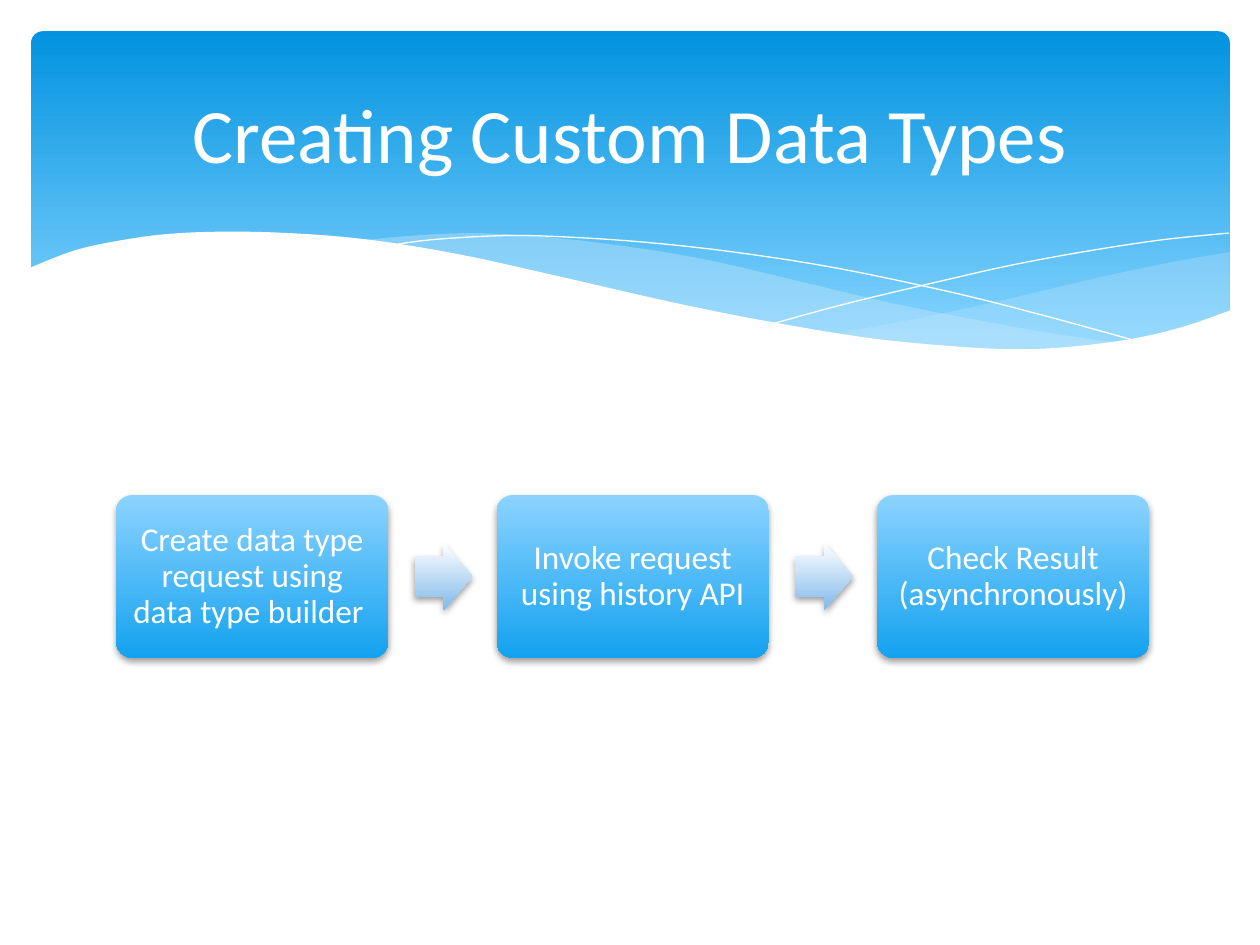
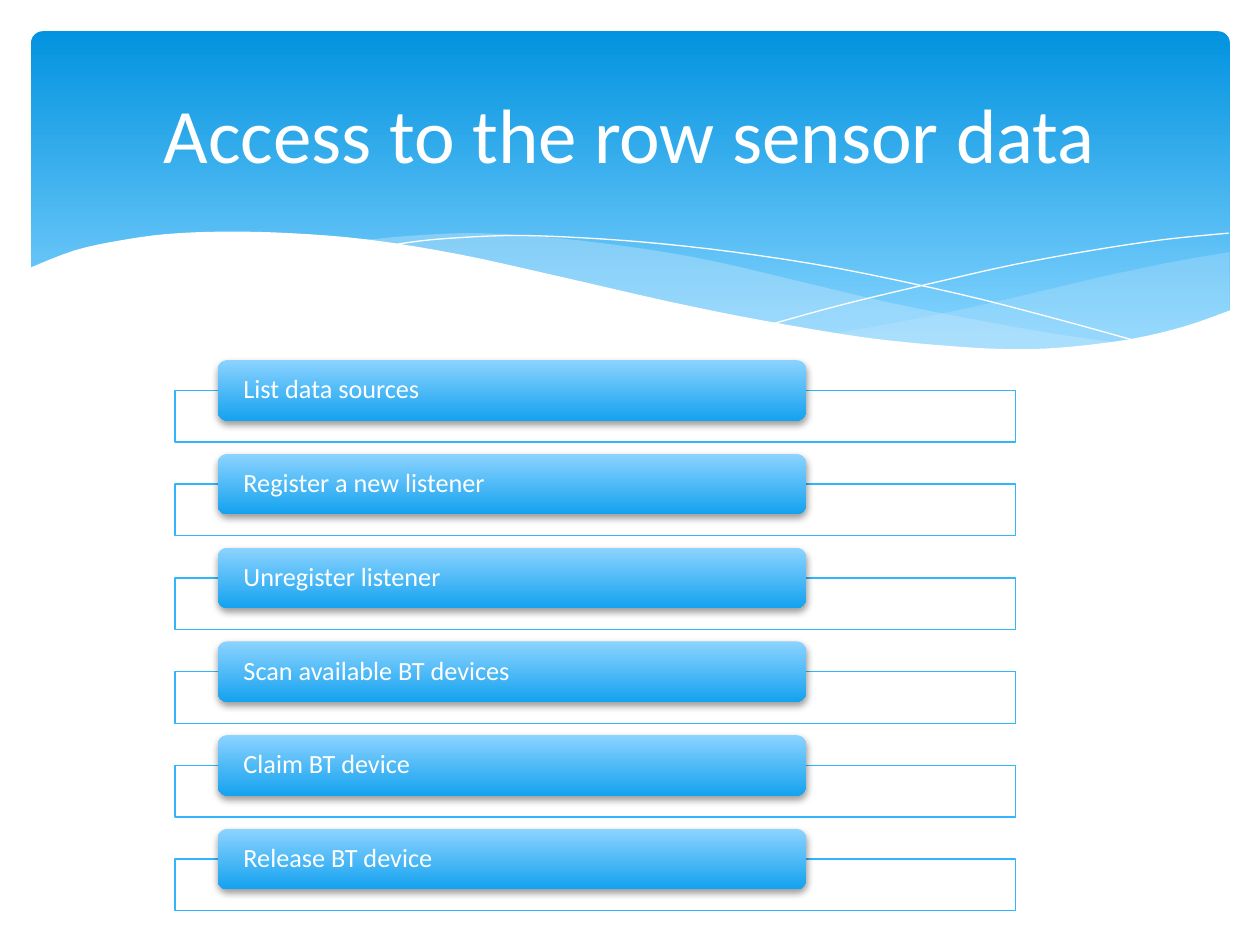
import pptx
import pptx.dml.color
import pptx.enum.shapes
import pptx.enum.text
import pptx.oxml
import pptx.oxml.ns
import pptx.util

Cm, Pt = pptx.util.Cm, pptx.util.Pt
RGB = pptx.dml.color.RGBColor.from_string
qn = pptx.oxml.ns.qn
SHAPE = pptx.enum.shapes.MSO_SHAPE
ALIGN = pptx.enum.text.PP_ALIGN
ANCHOR = pptx.enum.text.MSO_ANCHOR

# Content
STEPS_TITLE = "Creating Custom Data Types"
STEPS = [
    "Create data type request using data type builder ",
    "Invoke request using history API",
    "Check Result (asynchronously)",
]
SENSOR_TITLE = "Access to the row sensor data"
SENSOR_CALLS = [
    "List data sources",
    "Register a new listener",
    "Unregister listener",
    "Scan available BT devices",
    "Claim BT device",
    "Release BT device",
]


class Theme:
    font = "Calibri"
    title_size, step_size, call_size = Pt(44), Pt(19), Pt(15)
    white = "FFFFFF"
    ripple = "C6E7FC"
    frame_line = "31B6FD"
    band = (("0293E0", 0), ("83D3FE", 0.9))
    box = (("8CD3FF", 0), ("14A2EF", 1))
    arrow = (("FFFFFF", 0), ("82B9EC", 1))


# Header waves: knots of smooth curves, in cm
RIGHT_RIPPLE = [
    [(24.79, 5.08), (23.75, 5.26), (22.63, 5.49), (21.87, 5.66), (19.79, 6.15),
     (17.93, 6.53), (16.79, 6.73)],
    [(16.79, 6.73), (17.91, 6.88), (19.23, 7.01), (20.4, 7.06), (21.69, 7.01),
     (22.78, 6.86), (23.75, 6.65), (24.79, 6.27)],
]
LONG_RIPPLE = [
    [(22.68, 6.93), (21.26, 6.73), (19.69, 6.45), (17.93, 6.1), (15.98, 5.64),
     (14.45, 5.28), (13.06, 5.03), (11.23, 4.8), (9.65, 4.7), (8.33, 4.75),
     (7.26, 4.85)],
    [(7.26, 4.85), (8.69, 5.05), (10.26, 5.36), (11.4, 5.64), (13.46, 6.1),
     (15.27, 6.48), (16.89, 6.76), (18.34, 6.96), (19.63, 7.04), (20.78, 7.06),
     (21.77, 7.04), (22.68, 6.93)],
]
FALLING_LINE = [
    [(7.85, 4.95), (8.74, 4.83), (10.19, 4.75), (11.43, 4.78), (12.95, 4.88),
     (14.78, 5.08), (16.89, 5.41), (19.3, 5.92), (21.11, 6.38), (23.04, 6.91)],
]
RISING_LINE = [
    [(15.57, 6.53), (17.07, 6.12), (19, 5.66), (20.47, 5.33), (22, 5.05),
     (23.47, 4.83), (24.77, 4.7)],
]
WHITE_WAVE = [
    [(24.82, 6.25), (23.88, 6.58), (22.83, 6.83), (21.59, 6.99), (20.55, 7.04),
     (19.33, 6.99), (17.48, 6.81), (15.32, 6.45), (13.44, 6.07), (11.35, 5.59),
     (9.27, 5.13), (7.42, 4.83), (5.84, 4.7), (4.5, 4.67), (3.35, 4.72),
     (2.41, 4.85), (1.5, 5.05), (0.58, 5.41)],
    [(0.58, 8.36), (24.82, 8.36)],
]


def smooth(knots, pieces=4):
    """Return points of a Catmull-Rom curve through the knots."""
    padded = [knots[0], *knots, knots[-1]]
    points = [knots[0]]
    for a, b, c, d in zip(padded, padded[1:], padded[2:], padded[3:]):
        for piece in range(1, pieces + 1):
            t = piece / pieces
            points.append(tuple(
                (2 * q + (r - p) * t + (2 * p - 5 * q + 4 * r - s) * t ** 2
                 + (3 * q - p - 3 * r + s) * t ** 3) / 2
                for p, q, r, s in zip(a, b, c, d)))
    return points


def fill_solid(shape, colour, opacity=100):
    shape.fill.solid()
    shape.fill.fore_color.rgb = RGB(colour)
    if opacity < 100:
        for tint in shape.fill._xPr.find(qn("a:solidFill")):
            tint.append(pptx.oxml.parse_xml(
                f'<a:alpha {pptx.oxml.ns.nsdecls("a")} val="{opacity * 1000}"/>'))


def fill_downward(shape, stops):
    """Fill with a gradient running from top to bottom."""
    shape.fill.gradient()
    shape.fill.gradient_angle = 270
    for stop, (colour, position) in zip(shape.fill.gradient_stops, stops):
        stop.color.rgb = RGB(colour)
        stop.position = position


def add_wave(slide, curves, colour=None, opacity=100):
    """Draw a filled wave, or a white hairline when no colour is given."""
    points = [(Cm(x), Cm(y)) for knots in curves for x, y in smooth(knots)]
    builder = slide.shapes.build_freeform(*points[0])
    builder.add_line_segments(points[1:], close=colour is not None)
    wave = builder.convert_to_shape()
    wave.shadow.inherit = False
    if colour:
        fill_solid(wave, colour, opacity)
        wave.line.fill.background()
    else:
        wave.fill.background()
        wave.line.color.rgb = RGB(Theme.white)
        wave.line.width = Pt(0)


def add_block(slide, kind, place, stops, corner=None, shadow=True):
    block = slide.shapes.add_shape(kind, *map(Cm, place))
    fill_downward(block, stops)
    block.line.fill.background()
    block.shadow.inherit = False
    if corner is not None:
        block.adjustments[0] = corner
    if shadow:
        block._element.spPr.find(qn("a:effectLst")).append(pptx.oxml.parse_xml(
            f'<a:outerShdw {pptx.oxml.ns.nsdecls("a")} blurRad="50800" '
            'dist="25400" dir="5400000" rotWithShape="0"><a:srgbClr '
            'val="000000"><a:alpha val="38000"/></a:srgbClr></a:outerShdw>'))
    return block


def write(shape, text, size, align, margins=(0.25, 0.13), spacing=1.0):
    frame = shape.text_frame
    frame.text = text
    frame.word_wrap = True
    frame.vertical_anchor = ANCHOR.MIDDLE
    frame.margin_left = frame.margin_right = Cm(margins[0])
    frame.margin_top = frame.margin_bottom = Cm(margins[1])
    paragraph = frame.paragraphs[0]
    paragraph.alignment = align
    paragraph.line_spacing = spacing
    font = paragraph.runs[0].font
    font.name, font.size = Theme.font, size
    font.color.rgb = RGB(Theme.white)


def add_titled_slide(deck, title):
    slide = deck.slides.add_slide(deck.slide_layouts[6])
    add_block(slide, SHAPE.ROUNDED_RECTANGLE, (0.63, 0.63, 24.16, 6.86),
              Theme.band, corner=0.034, shadow=False)
    add_wave(slide, RIGHT_RIPPLE, Theme.ripple, 29)
    add_wave(slide, LONG_RIPPLE, Theme.ripple, 40)
    add_wave(slide, FALLING_LINE)
    add_wave(slide, RISING_LINE)
    add_wave(slide, WHITE_WAVE, Theme.white)
    heading = slide.shapes.add_textbox(Cm(1.27), Cm(0.94), Cm(22.86), Cm(3.48))
    write(heading, title, Theme.title_size, ALIGN.CENTER)
    return slide


def add_step_flow(slide, steps):
    left, top, width, height, pitch = 2.34, 9.98, 5.49, 3.28, 7.67
    arrow_width, arrow_height, arrow_gap = 1.17, 1.35, 0.53
    for index, step in enumerate(steps):
        x = left + index * pitch
        if index:
            add_block(slide, SHAPE.RIGHT_ARROW,
                      (x - pitch + width + arrow_gap,
                       top + (height - arrow_height) / 2,
                       arrow_width, arrow_height),
                      Theme.arrow, corner=0.6)
        card = add_block(slide, SHAPE.ROUNDED_RECTANGLE, (x, top, width, height),
                         Theme.box, corner=0.1)
        write(card, step, Theme.step_size, ALIGN.CENTER, (0.2, 0.2), 0.9)


def add_call_list(slide, calls):
    top, pitch = 7.26, 1.89
    for index, call in enumerate(calls):
        y = top + index * pitch
        frame = slide.shapes.add_shape(
            SHAPE.RECTANGLE, Cm(3.53), Cm(y + 0.61), Cm(16.94), Cm(1.04))
        fill_solid(frame, Theme.white, 90)
        frame.line.color.rgb = RGB(Theme.frame_line)
        frame.line.width = Pt(0.75)
        frame.shadow.inherit = False
        label = add_block(slide, SHAPE.ROUNDED_RECTANGLE, (4.39, y, 11.86, 1.22),
                          Theme.box)
        write(label, call, Theme.call_size, ALIGN.LEFT, (0.46, 0), 0.9)


def main():
    deck = pptx.Presentation()
    deck.slide_width, deck.slide_height = Cm(25.4), Cm(19.05)
    add_step_flow(add_titled_slide(deck, STEPS_TITLE), STEPS)
    add_call_list(add_titled_slide(deck, SENSOR_TITLE), SENSOR_CALLS)
    deck.save("out.pptx")


if __name__ == "__main__":
    main()
